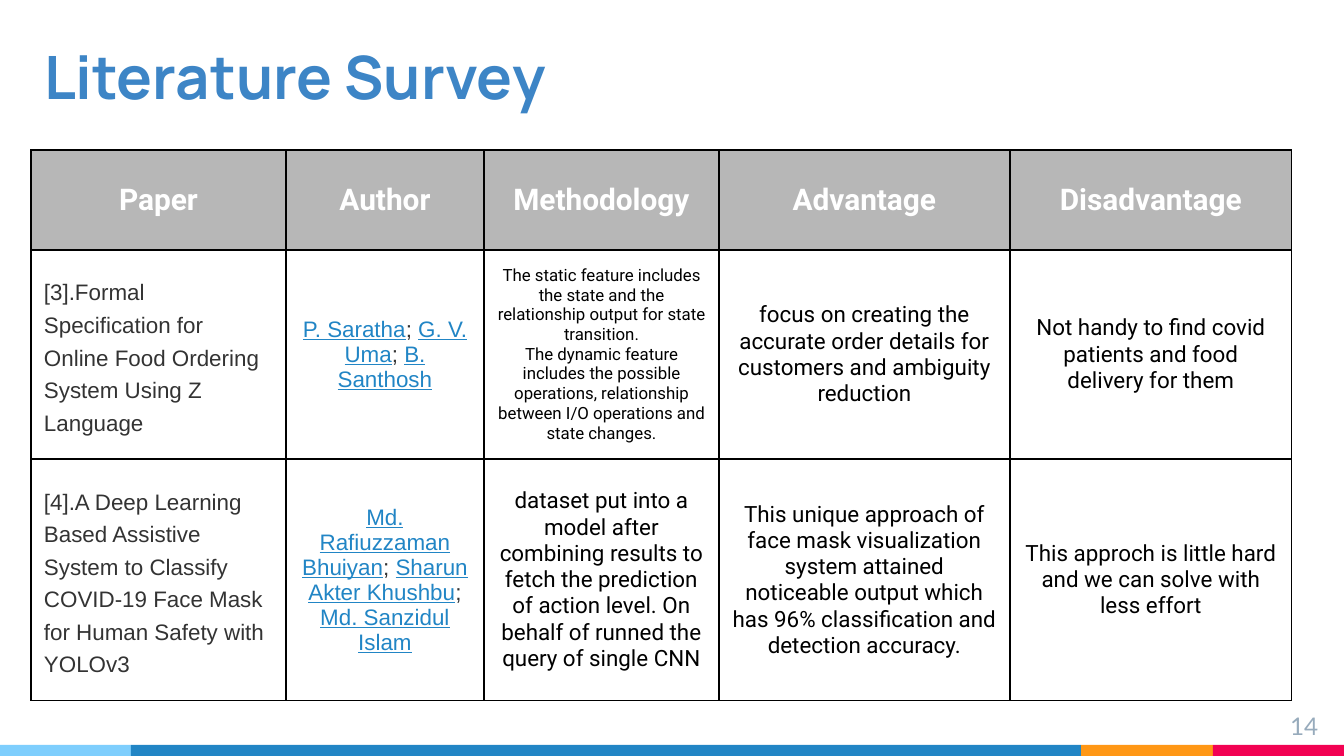
from itertools import pairwise
from lxml.etree import SubElement
from pptx import Presentation
from pptx.dml.color import RGBColor
from pptx.enum.shapes import MSO_SHAPE
from pptx.enum.text import MSO_ANCHOR, PP_ALIGN
from pptx.oxml.ns import qn
from pptx.util import Pt

PX = 914400 / 134.4
COLORS = {
    "title": "3D85C6", "number": "97ABBC", "header": "B7B7B7", "white": "FFFFFF",
    "black": "000000", "gray": "333333", "link": "2185C5",
    "sky": "7ECEFD", "blue": "2185C5", "orange": "FF9715", "red": "F20253",
}
TITLE = "Literature Survey"
NUMBER = "14"
HEADERS = ["Paper", "Author", "Methodology", "Advantage", "Disadvantage"]
PAPERS = [
    {
        "paper": "[3].Formal Specification for Online Food Ordering System Using Z Language",
        "authors": ["P. Saratha", "G. V. Uma", "B. Santhosh"],
        "notes": [
            "The static feature includes the state and the relationship output for state transition.\n"
            "The dynamic feature includes the possible operations, relationship between I/O operations "
            "and state changes.",
            "focus on creating the accurate order details for customers and ambiguity reduction",
            "Not handy to find covid patients and food delivery for them",
        ],
        "sizes": [9, 12, 12],
    },
    {
        "paper": "[4].A Deep Learning Based Assistive System to Classify COVID-19 Face Mask "
                 "for Human Safety with YOLOv3",
        "authors": ["Md. Rafiuzzaman Bhuiyan", "Sharun Akter Khushbu", "Md. Sanzidul Islam"],
        "notes": [
            "dataset put into a model after combining results to fetch the prediction of action level. "
            "On behalf of runned the query of single CNN",
            "This unique approach of face mask visualization system attained noticeable output which "
            "has 96% classification and detection accuracy.",
            "This approch is little hard and we can solve with less effort",
        ],
        "sizes": [12, 12, 12],
    },
]
COLUMN_WIDTHS = [255, 198, 235, 291, 282]
ROW_HEIGHTS = [100, 209, 242]
BAR_EDGES = [0, 131, 1081, 1213, 1344]
BAR_COLORS = ["sky", "blue", "orange", "red"]


def px(*lengths):
    return [round(length * PX) for length in lengths]


def rgb(name):
    return RGBColor.from_string(COLORS[name])


def style(span, size, font, color, bold=False, underline=False):
    span.font.size = Pt(size)
    span.font.name = font
    span.font.bold = bold
    span.font.underline = underline
    span.font.color.rgb = rgb(color)


def write(frame, text, size, font, color, bold=False, align=PP_ALIGN.CENTER, spacing=None):
    frame.text = text
    for para in frame.paragraphs:
        para.alignment = align
        para.line_spacing = spacing
        for span in para.runs:
            style(span, size, font, color, bold)


def write_authors(frame, authors):
    para = frame.paragraphs[0]
    para.alignment = PP_ALIGN.CENTER
    for index, author in enumerate(authors):
        if index:
            separator = para.add_run()
            separator.text = "; "
            style(separator, 12, "Arial", "gray")
        span = para.add_run()
        span.text = author
        style(span, 12, "Arial", "link", underline=True)


def add_text(slide, place, text, anchor, **look):
    frame = slide.shapes.add_textbox(*px(*place)).text_frame
    frame.word_wrap = True
    frame.vertical_anchor = anchor
    frame.margin_left = frame.margin_right = frame.margin_top = frame.margin_bottom = px(13)[0]
    write(frame, text, **look)


def format_cell(cell, fill):
    cell.vertical_anchor = MSO_ANCHOR.MIDDLE
    cell.margin_left = cell.margin_right = px(13)[0]
    cell.margin_top = cell.margin_bottom = px(9)[0]
    properties = cell._tc.get_or_add_tcPr()
    for side in ("lnL", "lnR", "lnT", "lnB"):
        line = SubElement(properties, qn(f"a:{side}"), w=str(Pt(0.75)))
        solid = SubElement(line, qn("a:solidFill"))
        SubElement(solid, qn("a:srgbClr"), val=COLORS["black"])
    cell.fill.solid()
    cell.fill.fore_color.rgb = rgb(fill)


def add_survey(slide):
    place = px(31, 150, sum(COLUMN_WIDTHS), sum(ROW_HEIGHTS))
    table = slide.shapes.add_table(len(ROW_HEIGHTS), len(COLUMN_WIDTHS), *place).table
    for column, width in zip(table.columns, px(*COLUMN_WIDTHS)):
        column.width = width
    for row, height in zip(table.rows, px(*ROW_HEIGHTS)):
        row.height = height
    for index, row in enumerate(table.rows):
        for cell in row.cells:
            format_cell(cell, "white" if index else "header")
    for column, header in enumerate(HEADERS):
        write(table.cell(0, column).text_frame, header, 16, "Roboto", "white", bold=True)
    for row, entry in enumerate(PAPERS, 1):
        write(table.cell(row, 0).text_frame, entry["paper"], 12, "Arial", "gray",
              align=PP_ALIGN.LEFT, spacing=1.3)
        write_authors(table.cell(row, 1).text_frame, entry["authors"])
        for column, (note, size) in enumerate(zip(entry["notes"], entry["sizes"]), 2):
            write(table.cell(row, column).text_frame, note, size, "Roboto", "black")


def main():
    deck = Presentation()
    deck.slide_width, deck.slide_height = px(1344, 756)
    slide = deck.slides.add_slide(deck.slide_layouts[6])
    for (left, right), color in zip(pairwise(BAR_EDGES), BAR_COLORS):
        bar = slide.shapes.add_shape(MSO_SHAPE.RECTANGLE, *px(left, 745, right - left, 11))
        bar.shadow.inherit = False
        bar.fill.solid()
        bar.fill.fore_color.rgb = rgb(color)
        bar.line.fill.background()
    add_text(slide, (31, 16, 1031, 109), TITLE, MSO_ANCHOR.BOTTOM,
             size=32, font="Manrope", color="title", bold=True, align=PP_ALIGN.LEFT)
    add_text(slide, (1250, 698, 81, 46), NUMBER, MSO_ANCHOR.TOP,
             size=13, font="Lato", color="number", align=PP_ALIGN.RIGHT)
    add_survey(slide)
    deck.save("out.pptx")


if __name__ == "__main__":
    main()
